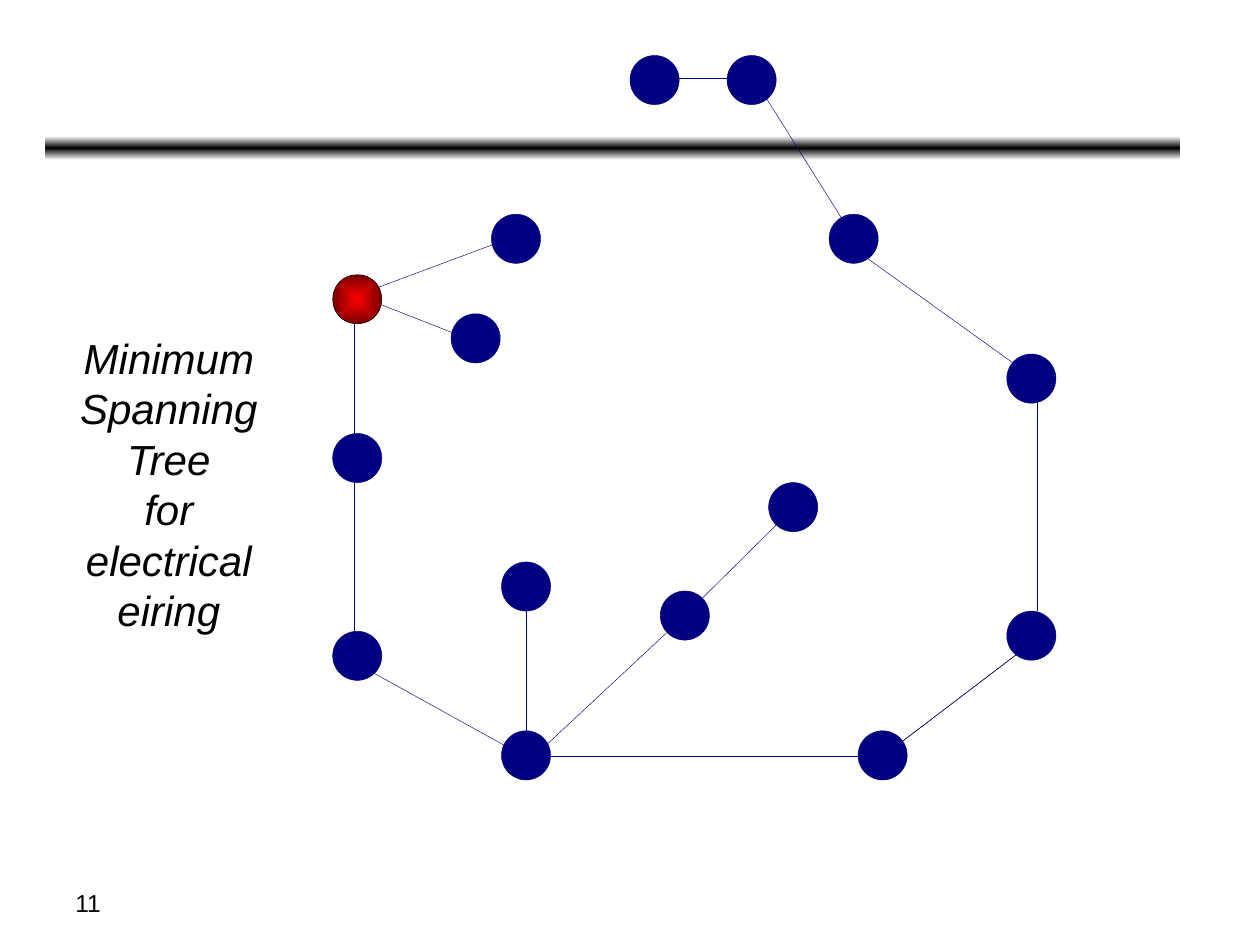
from pptx import Presentation
from pptx.dml.color import RGBColor
from pptx.enum.shapes import MSO_CONNECTOR, MSO_SHAPE
from pptx.enum.text import MSO_AUTO_SIZE, PP_ALIGN
from pptx.oxml import parse_xml
from pptx.oxml.ns import nsdecls, qn
from pptx.util import Inches, Pt

STRAIGHT = MSO_CONNECTOR.STRAIGHT
OVAL, ROUNDED = MSO_SHAPE.OVAL, MSO_SHAPE.ROUNDED_RECTANGLE
LEFT, CENTER = PP_ALIGN.LEFT, PP_ALIGN.CENTER
NO_FIT, GROW = MSO_AUTO_SIZE.NONE, MSO_AUTO_SIZE.SHAPE_TO_FIT_TEXT

COLORS = {"white": "FFFFFF", "black": "000000", "navy": "000080",
          "red": "FF0000", "maroon": "760000"}
NODE_SIZE = 0.39
LINE_WIDTH = Pt(0.25)

# Tree positions are in inches from the corner of the tree's box
TREE_BOX = (2.64, 0.44, 5.74, 5.75)
ROOT = (0, 1.74)
NODES = [
    (1.34, 5.36), (0, 4.57), (1.34, 4.02), (1.26, 1.26), (3.94, 1.26),
    (3.13, 0), (2.36, 0), (3.46, 3.39), (5.35, 2.37), (5.35, 4.41),
    (2.6, 4.25), (0.94, 2.05), (0, 3), (4.17, 5.36),
]
WIRES = [
    (0.17, 3.31, 0.17, 4.65), (0.16, 4.81, 1.57, 5.59),
    (0.23, 1.89, 1.49, 1.42), (0.16, 1.89, 1.18, 2.29),
    (2.75, 4.49, 1.57, 5.59), (4.33, 5.56, 1.65, 5.56),
    (3.7, 3.55, 2.83, 4.41), (2.6, 0.18, 3.23, 0.18),
    (3.38, 0.24, 4.17, 1.5), (4.09, 1.5, 5.51, 2.52),
    (5.67, 4.57, 4.33, 5.59), (5.59, 2.6, 5.59, 4.41),
    (0.17, 2.05, 0.17, 3.07), (1.54, 4.25, 1.54, 5.44),
]
DARK_WIRE = (5.67, 4.57, 4.33, 5.59)


def rgb(name):
    return RGBColor.from_string(COLORS[name])


def set_gradient(sp, stops, direction):
    """Fill a shape with (percent, colour) stops and a direction element."""
    sp.fill.background()
    gs = "".join(f'<a:gs pos="{pos * 1000}"><a:srgbClr val="{COLORS[c]}"/></a:gs>'
                 for pos, c in stops)
    grad = parse_xml(f'<a:gradFill {nsdecls("a")} rotWithShape="1">'
                     f'<a:gsLst>{gs}</a:gsLst>{direction}</a:gradFill>')
    spPr = sp._element.spPr
    spPr.replace(spPr.find(qn("a:noFill")), grad)


def add_rule(s, box):
    sp = s.shapes.add_shape(ROUNDED, *map(Inches, box))
    sp.shadow.inherit = False
    sp.line.fill.background()
    set_gradient(sp, [(0, "white"), (50, "black"), (100, "white")],
                 '<a:lin ang="5400000" scaled="0"/>')


def add_wire(s, x, y, ends, color):
    x1, y1, x2, y2 = ends
    line = s.shapes.add_connector(STRAIGHT, Inches(x + x1), Inches(y + y1),
                                  Inches(x + x2), Inches(y + y2))
    line.line.color.rgb = rgb(color)
    line.line.width = LINE_WIDTH
    line._element.spPr.append(parse_xml(f'<a:effectLst {nsdecls("a")}/>'))


def add_node(s, x, y, color):
    sp = s.shapes.add_shape(OVAL, *map(Inches, (x, y, NODE_SIZE, NODE_SIZE)))
    sp.shadow.inherit = False
    sp.fill.solid()
    sp.fill.fore_color.rgb = rgb("navy")
    sp.line.color.rgb = rgb(color)
    sp.line.width = LINE_WIDTH
    return sp


def add_tree(s, box):
    x, y = box[:2]
    # Wires go behind the nodes
    add_wire(s, x, y, DARK_WIRE, "black")
    for ends in WIRES:
        add_wire(s, x, y, ends, "navy")
    for dx, dy in NODES:
        add_node(s, x + dx, y + dy, "navy")
    # Power source
    root = add_node(s, x + ROOT[0], y + ROOT[1], "black")
    set_gradient(root, [(0, "red"), (100, "maroon")],
                 '<a:path path="rect"><a:fillToRect l="50000" t="50000" '
                 'r="50000" b="50000"/></a:path>')


def add_text(s, box, lines, align, font, frame):
    tf = s.shapes.add_textbox(*map(Inches, box)).text_frame
    for name, value in frame.items():
        setattr(tf, name, value)
    for i, text in enumerate(lines):
        p = tf.paragraphs[0] if i == 0 else tf.add_paragraph()
        p.alignment = align
        r = p.add_run()
        r.text = text
        r.font.color.rgb = rgb("black")
        for name, value in font.items():
            setattr(r.font, name, value)


def main():
    prs = Presentation()
    prs.slide_width, prs.slide_height = Inches(10), Inches(7.5)
    s = prs.slides.add_slide(prs.slide_layouts[6])

    add_rule(s, (0.36, 1.08, 9.01, 0.19))
    # Slide number
    add_text(s, (0.5, 7, 2.33, 0.35), ["11"], LEFT,
             {"name": "Arial", "size": Pt(14)},
             {"word_wrap": True, "auto_size": NO_FIT})
    add_tree(s, TREE_BOX)
    # Caption
    add_text(s, (0.52, 2.59, 1.64, 2.5),
             ["Minimum ", "Spanning", "Tree", "for", "electrical", "eiring"],
             CENTER, {"name": "Arial", "size": Pt(24), "italic": True},
             {"word_wrap": False, "auto_size": GROW})

    prs.save("out.pptx")


if __name__ == "__main__":
    main()
